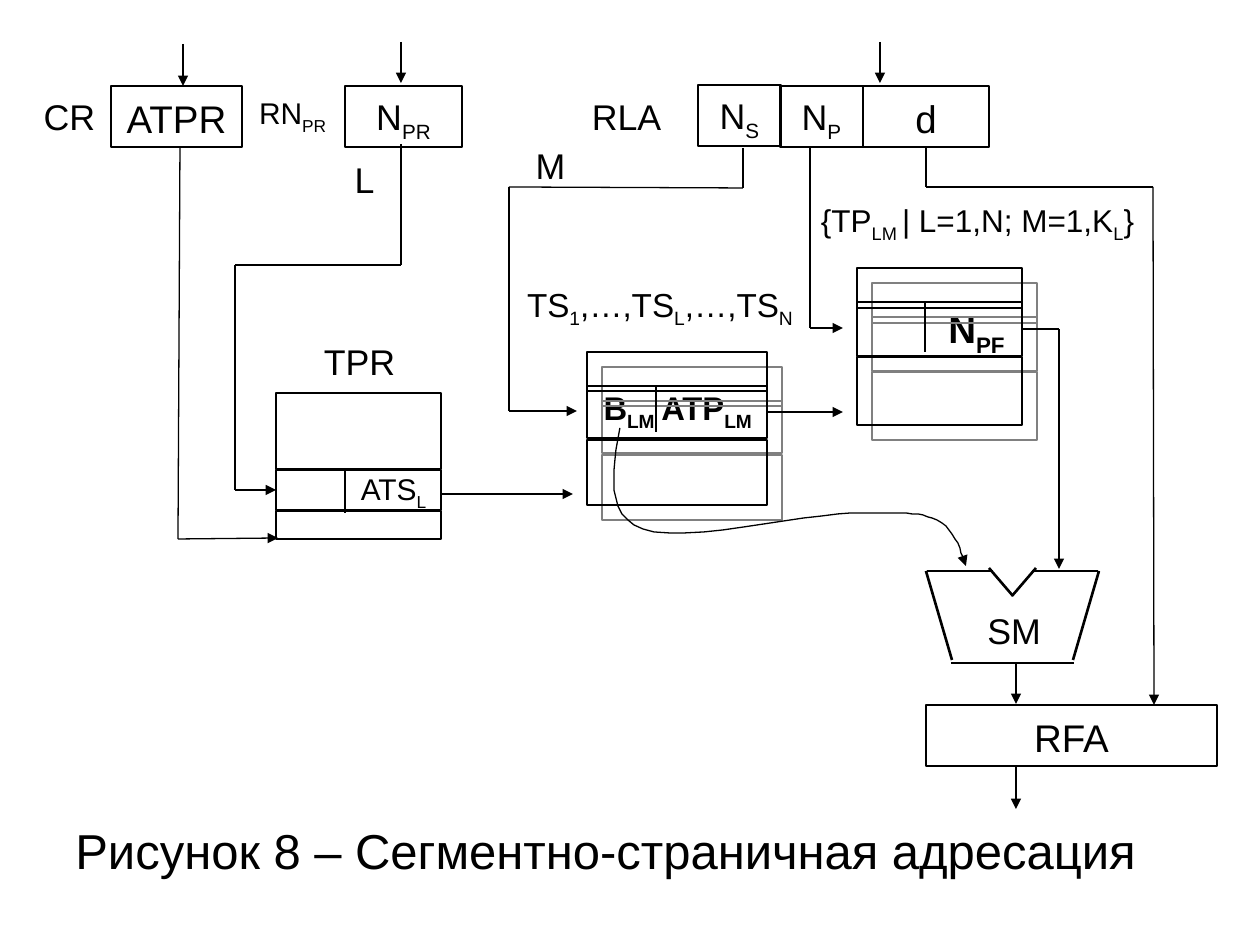
from lxml import etree
from pptx import Presentation
from pptx.dml.color import RGBColor
from pptx.enum.shapes import MSO_CONNECTOR, MSO_SHAPE
from pptx.enum.text import MSO_ANCHOR, PP_ALIGN
from pptx.oxml.ns import qn
from pptx.util import Pt

RECT = MSO_SHAPE.RECTANGLE
LINE = MSO_CONNECTOR.STRAIGHT
TOP = MSO_ANCHOR.TOP
LEFT, CENTER = PP_ALIGN.LEFT, PP_ALIGN.CENTER
SIDE_LEFT, SIDE_BOTTOM, SIDE_RIGHT = 1, 2, 3

BLACK = RGBColor(0, 0, 0)
GRAY = RGBColor(0x80, 0x80, 0x80)
FONT = "Arial"
SCALE = 914400 / 126

CAPTION = ["Рисунок 8 – Сегментно-страничная адресация"]

# Text is a list of runs: every second run is a subscript.
# left, top, width, height, size, text
REGS = {
    "ATPR": (111, 86, 131, 61, 22, ["ATPR"]),
    "NPR": (345, 86, 117, 61, 20.4, ["N", "PR"]),
    "NS": (698, 85, 83, 61, 20.4, ["N", "S"]),
    "NP": (780, 86, 83, 61, 20.4, ["N", "P"]),
    "d": (863, 86, 126, 61, 22, ["d"]),
    "RFA": (926, 705, 291, 61, 22, ["RFA"]),
}

# left, width, rows (top, height), shadow
TABLES = {
    "TPR": (276, 165, [(393, 76), (470, 40), (511, 28)], False),
    "TS": (587, 180, [(352, 39), (386, 52), (440, 65)], True),
    "TP": (857, 165, [(268, 40), (302, 54), (357, 68)], True),
}

# left, top, width, height, size, bold, text
LABELS = [
    (21, 86, 97, 55, 20.4, False, ["CR"]),
    (234, 86, 117, 55, 17.1, False, ["RN", "PR"]),
    (571, 86, 111, 55, 20.4, False, ["RLA"]),
    (309, 149, 111, 55, 20.4, False, ["L"]),
    (495, 135, 111, 55, 20.4, False, ["M"]),
    (304, 331, 111, 55, 20.4, False, ["TPR"]),
    (331, 462, 125, 55, 17.1, False, ["ATS", "L"]),
    (509, 275, 302, 59, 19, False, ["TS", "1", ",…,TS", "L", ",…,TS", "N"]),
    (781, 192, 393, 62, 18, False,
     ["{TP", "LM ", "| L=1,N; M=1,K", "L", "}"]),
    (561, 379, 136, 59, 18.7, True, ["B", "LM"]),
    (625, 379, 163, 59, 18.7, True, ["ATP", "LM"]),
    (914, 296, 125, 73, 22, True, ["N", "PF"]),
    (961, 600, 106, 59, 20.4, False, ["SM"]),
]

# points, start joint, end joint; a joint is (box, side)
ROUTES = [
    ([(183, 44), (183, 86)], None, None),
    ([(401, 42), (401, 83)], None, None),
    ([(880, 42), (880, 83)], None, None),
    ([(180, 147), (178, 539), (278, 538)], None, None),
    ([(401, 144), (401, 265), (235, 265), (235, 490), (276, 490)],
     None, ("TPR1", SIDE_LEFT)),
    ([(743, 148), (743, 188), (509, 187), (509, 411), (577, 411)], None, None),
    ([(810, 147), (810, 328), (843, 328)], None, None),
    ([(926, 147), (926, 187), (1153, 187), (1154, 705)],
     ("d", SIDE_BOTTOM), None),
    ([(442, 494), (573, 494)], None, None),
    ([(767, 412), (843, 412)], ("TS1", SIDE_RIGHT), None),
    ([(1022, 329), (1059, 329), (1059, 569)], ("TP1", SIDE_RIGHT), None),
    ([(1016, 663), (1016, 704)], None, None),
    ([(1016, 767), (1016, 809)], None, None),
]

SPLITS = [(345, 471, 513), (656, 386, 432), (925, 302, 352)]

# Left half of the adder; the right half mirrors it.
ADDER = [(927, 571, 993, 571), (926, 571, 952, 660),
         (989, 568, 1013, 596), (951, 663, 1013, 663)]
ADDER_SUM = 2025

BASE_START = (620, 428)
BASE_CURVES = [
    [(612, 472), (605, 515), (643, 529)],
    [(682, 544), (803, 515), (851, 513)],
    [(900, 512), (919, 512), (937, 520)],
    [(956, 529), (963, 558), (966, 566)],
]
STEPS = 12


def emu(*vals):
    return [round(v * SCALE) for v in vals]


def ink(line, width):
    line.color.rgb = BLACK
    line.width = Pt(width)


def arrow(line):
    """Put a triangle at the far end of a line that has its colour set."""
    props = line._get_or_add_ln()
    etree.SubElement(props, qn("a:tailEnd"), type="triangle")


def write(frame, text, size, bold=False, align=CENTER, inset=9):
    frame.word_wrap = True
    frame.vertical_anchor = TOP
    frame.margin_top = emu(inset)[0]
    para = frame.paragraphs[0]
    para.alignment = align
    for num, part in enumerate(text):
        run = para.add_run()
        run.text = part
        font = run.font
        font.name, font.size, font.bold = FONT, Pt(size), bold
        font.color.rgb = BLACK
        if num % 2:
            run._r.get_or_add_rPr().set("baseline", "-25000")


def label(shapes, area, *style, **more):
    write(shapes.add_textbox(*emu(*area)).text_frame, *style, **more)


def box(shapes, area, width):
    rect = shapes.add_shape(RECT, *emu(*area))
    rect.shadow.inherit = False
    rect.fill.background()
    ink(rect.line, width)
    return rect


def shade(rect):
    """Cast a hard gray shadow down and to the right."""
    effects = rect._element.spPr.find(qn("a:effectLst"))
    outer = etree.SubElement(effects, qn("a:outerShdw"), dist=str(Pt(12.1)),
                             dir="2700000", algn="ctr", rotWithShape="0")
    etree.SubElement(outer, qn("a:srgbClr"), val=str(GRAY))


def wire(shapes, ends, width=0.75):
    link = shapes.add_connector(LINE, *emu(*ends))
    ink(link.line, width)
    etree.SubElement(link._element.spPr, qn("a:effectLst"))
    return link


def route(shapes, points, start, end, boxes):
    links = [wire(shapes, a + b) for a, b in zip(points, points[1:])]
    arrow(links[-1].line)
    if start:
        links[0].begin_connect(boxes[start[0]], start[1])
    if end:
        links[-1].end_connect(boxes[end[0]], end[1])


def bezier(p, q, r, s):
    """Points along a cubic curve, without its start."""
    for step in range(1, STEPS + 1):
        t = step / STEPS
        u = 1 - t
        yield tuple(u**3 * a + 3 * u * u * t * b + 3 * u * t * t * c + t**3 * d
                    for a, b, c, d in zip(p, q, r, s))


def curve(shapes):
    points, last = [], BASE_START
    for part in BASE_CURVES:
        points += bezier(last, *part)
        last = part[-1]
    pen = shapes.build_freeform(*BASE_START, scale=SCALE)
    pen.add_line_segments(points, close=False)
    path = pen.convert_to_shape()
    path.shadow.inherit = False
    path.fill.background()
    ink(path.line, 0.75)
    arrow(path.line)


def main():
    deck = Presentation()
    deck.slide_width, deck.slide_height = emu(1260, 945)
    shapes = deck.slides.add_slide(deck.slide_layouts[6]).shapes
    boxes = {}

    label(shapes, (63, 815, 1134, 67), CAPTION, 28, align=LEFT, inset=6)
    for *area, size, bold, text in LABELS:
        label(shapes, area, text, size, bold)
    for name, (*area, size, text) in REGS.items():
        boxes[name] = box(shapes, area, 1.5)
        write(boxes[name].text_frame, text, size)
    for name, (left, width, rows, shadow) in TABLES.items():
        for num, (top, height) in enumerate(rows):
            row = box(shapes, (left, top, width, height), 1)
            boxes[f"{name}{num}"] = row
            if shadow:
                shade(row)

    for x, top, end in SPLITS:
        wire(shapes, (x, top, x, end))
    for x, y, x2, y2 in ADDER:
        wire(shapes, (x, y, x2, y2), 1.5)
        wire(shapes, (ADDER_SUM - x, y, ADDER_SUM - x2, y2), 1.5)
    for points, start, end in ROUTES:
        route(shapes, points, start, end, boxes)
    curve(shapes)
    deck.save("out.pptx")


if __name__ == "__main__":
    main()
